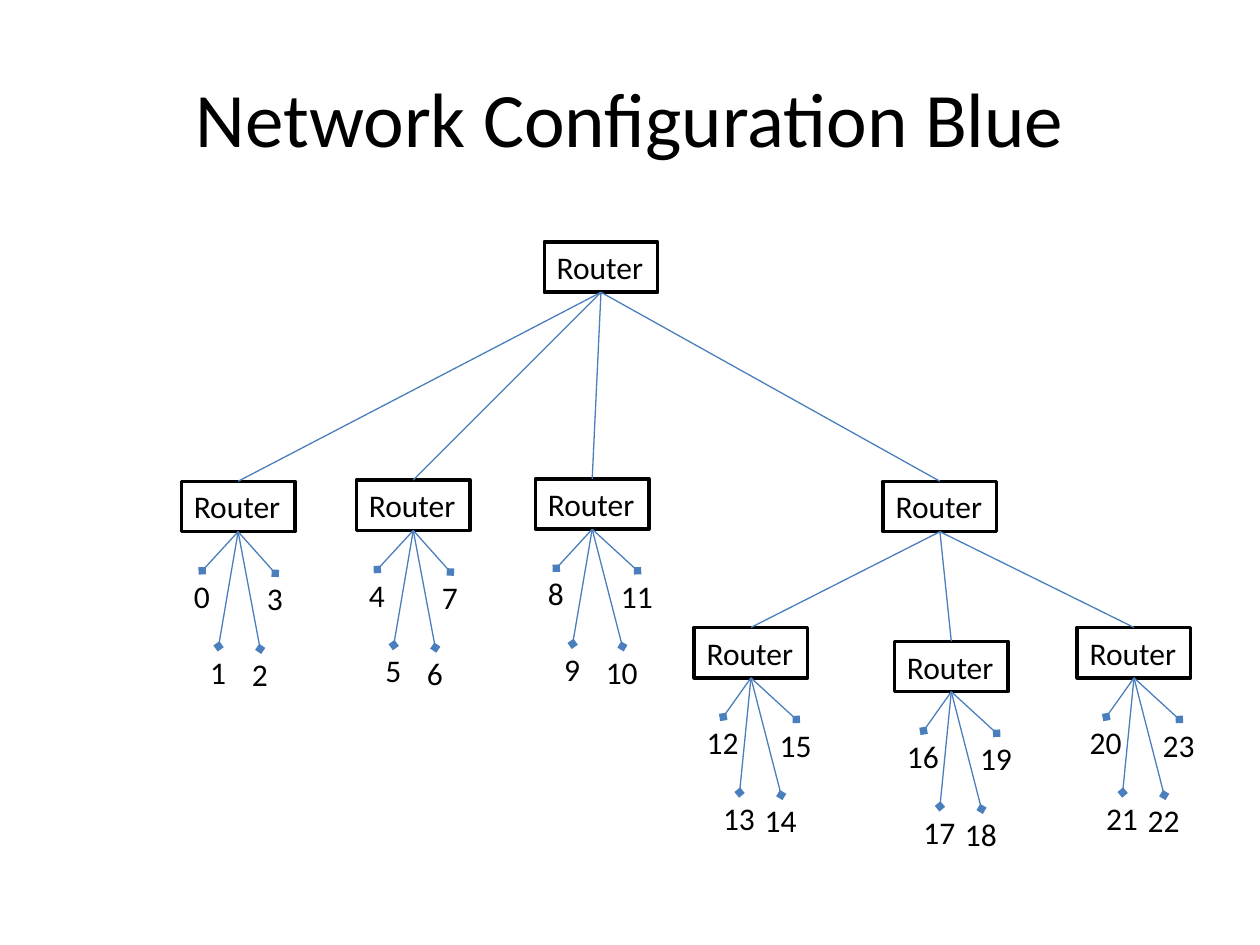
from dataclasses import dataclass

from lxml import etree
from pptx import Presentation
from pptx import util as u
from pptx.dml.color import RGBColor
from pptx.enum import shapes, text
from pptx.oxml import ns


@dataclass(frozen=True)
class Theme:
    font: str = "Calibri"
    ink: RGBColor = RGBColor(0, 0, 0)
    paper: RGBColor = RGBColor(255, 255, 255)
    link: RGBColor = RGBColor(0x4B, 0x7E, 0xBC)
    head: float = 44
    body: float = 18
    edge: float = 2
    wire: float = 0.75


@dataclass(frozen=True)
class Router:
    name: str
    left: float
    top: float
    up: str = ""
    first: int | None = None


THEME = Theme()
WIDE, HIGH = 0.9, 0.4
PORTS = [(0, 0.71), (0.13, 1.31), (0.46, 1.33), (0.58, 0.73)]
ROUTERS = [
    Router("root", 4.32, 1.92),
    Router("east", 7.01, 3.82, "root"),
    Router("a", 1.44, 3.82, "root", 0),
    Router("b", 2.83, 3.81, "root", 4),
    Router("c", 4.25, 3.8, "root", 8),
    Router("d", 5.51, 4.98, "east", 12),
    Router("e", 7.1, 5.09, "east", 16),
    Router("f", 8.55, 4.98, "east", 20),
]


def write(shape, words: str, *, size: float = THEME.body,
          align=text.PP_ALIGN.LEFT, anchor=text.MSO_ANCHOR.TOP,
          wrap: bool = False, fit=text.MSO_AUTO_SIZE.SHAPE_TO_FIT_TEXT) -> None:
    frame = shape.text_frame
    frame.text = words
    frame.word_wrap = wrap
    frame.auto_size = fit
    frame.vertical_anchor = anchor
    para = frame.paragraphs[0]
    para.alignment = align
    font = para.runs[0].font
    font.name, font.size = THEME.font, u.Pt(size)
    font.color.rgb = THEME.ink


def box(tree, item: Router):
    shape = tree.add_shape(
        shapes.MSO_SHAPE.RECTANGLE, u.Inches(item.left), u.Inches(item.top),
        u.Inches(WIDE), u.Inches(HIGH))
    shape.shadow.inherit = False
    shape.fill.solid()
    shape.fill.fore_color.rgb = THEME.paper
    shape.line.color.rgb = THEME.ink
    shape.line.width = u.Pt(THEME.edge)
    write(shape, "Router")
    return shape


def join(tree, start, end, tip: str = "") -> None:
    line = tree.add_connector(shapes.MSO_CONNECTOR.STRAIGHT, 0, 0, 0, 0)
    line.begin_connect(start, 2)
    line.end_connect(end, 0)
    line.line.color.rgb = THEME.link
    line.line.width = u.Pt(THEME.wire)
    if tip:
        etree.SubElement(line.line._get_or_add_ln(), ns.qn("a:tailEnd"), type=tip)
    etree.SubElement(line._element.spPr, ns.qn("a:effectLst"))


def leaves(tree, item: Router, hub) -> None:
    labels = []
    for num, (dx, dy) in enumerate(PORTS, item.first):
        label = tree.add_textbox(
            u.Inches(item.left + dx), u.Inches(item.top + dy),
            u.Inches(0.33 if num < 10 else 0.46), u.Inches(HIGH))
        write(label, str(num))
        labels.append(label)
    for label in labels:
        join(tree, hub, label, "diamond")


def main() -> None:
    deck = Presentation()
    deck.slide_width, deck.slide_height = u.Inches(10), u.Inches(7.5)
    slide = deck.slides.add_slide(deck.slide_layouts[5])
    title = slide.shapes.title
    title.left, title.top = u.Inches(0.5), u.Inches(0.3)
    title.width, title.height = u.Inches(9), u.Inches(1.25)
    write(title, "Network Configuration Blue", size=THEME.head,
          align=text.PP_ALIGN.CENTER, anchor=text.MSO_ANCHOR.MIDDLE,
          wrap=True, fit=text.MSO_AUTO_SIZE.NONE)

    hubs = {}
    for item in ROUTERS:
        if item.first is None:
            hubs[item.name] = box(slide.shapes, item)
        else:
            tree = slide.shapes.add_group_shape().shapes
            hubs[item.name] = box(tree, item)
            leaves(tree, item, hubs[item.name])
    for item in ROUTERS:
        if item.up:
            join(slide.shapes, hubs[item.up], hubs[item.name])
    deck.save("out.pptx")


if __name__ == "__main__":
    main()
